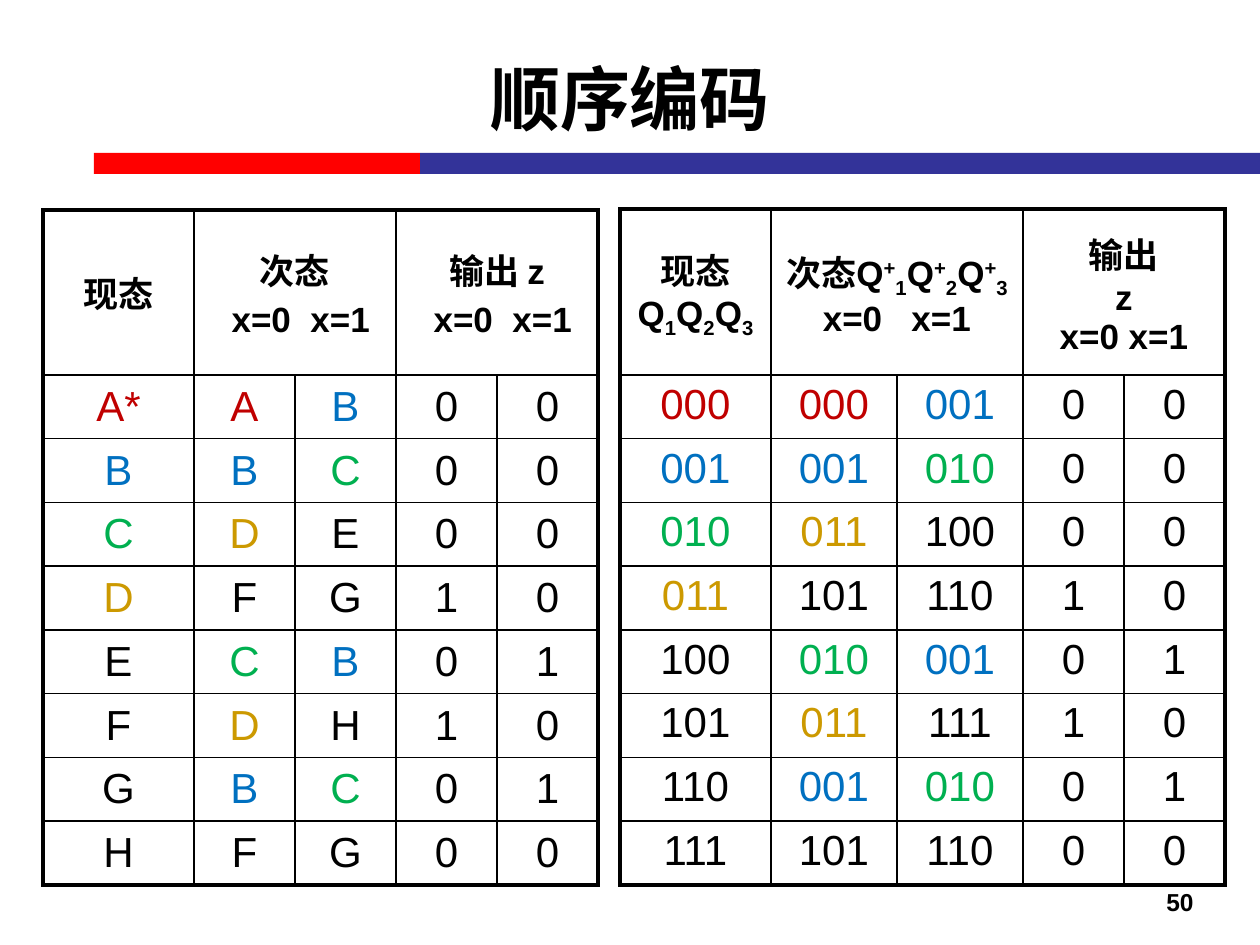
import pptx
import pptx.util
import pptx.dml.color
import pptx.enum.shapes
import pptx.enum.text
import lxml.etree

RGB = pptx.dml.color.RGBColor
BLACK = RGB(0x00, 0x00, 0x00)
RED = RGB(0xFF, 0x00, 0x00)
NAVY = RGB(0x33, 0x33, 0x99)
TINTS = {
    "A": RGB(0xC0, 0x00, 0x00),
    "B": RGB(0x00, 0x70, 0xC0),
    "C": RGB(0x00, 0xB0, 0x50),
    "D": RGB(0xCC, 0x99, 0x00),
}
ALIGN = pptx.enum.text.PP_ALIGN
ANCHOR = pptx.enum.text.MSO_ANCHOR
NS = "http://schemas.openxmlformats.org/drawingml/2006/main"
SCALE = 914400 / 126
SUB, SUP = -25, 30

STATES = "ABCDEFGH"
NEXT = ["AB", "BC", "DE", "FG", "CB", "DH", "BC", "FG"]
OUT = ["00", "00", "00", "10", "01", "10", "01", "00"]

HEAD_A = [
    [[("现态", 20, 0)]],
    [[("次态", 20, 0)], [(" ", 24, 0), ("x=0  x=1", 20, 0)]],
    [[("输出 z", 20, 0)], [(" ", 24, 0), ("x=0  x=1", 20, 0)]],
]
NOW = [part for n in "123" for part in (("Q", 20, 0), (n, 20, SUB))]
THEN = [part for n in "123"
        for part in (("Q", 20, 0), ("+", 20, SUP), (n, 20, SUB))]
HEAD_B = [
    [[("现态\n", 20, 0)] + NOW],
    [[("次态", 20, 0)] + THEN, [("x=0   x=1", 20, 0)]],
    [[("输出\nz\nx=0 x=1", 20, 0)]],
]


def px(n):
    """Turn px into EMU."""
    return round(n * SCALE)


def add_run(para, text, size, bold=True, tint=BLACK, base=0):
    """Add text to a paragraph, with a line break at each newline."""
    for i, line in enumerate(text.split("\n")):
        if i:
            para.add_line_break()
        if not line:
            continue
        run = para.add_run()
        run.text = line
        run.font.name = "Arial"
        run.font.size = pptx.util.Pt(size)
        run.font.bold = bold
        run.font.color.rgb = tint
        if base:
            run._r.get_or_add_rPr().set("baseline", str(base * 1000))


def add_label(slide, box, text, size, align, anchor):
    """Place one line of bold text in a box."""
    frame = slide.shapes.add_textbox(*map(px, box)).text_frame
    frame.word_wrap = True
    frame.vertical_anchor = anchor
    frame.paragraphs[0].alignment = align
    add_run(frame.paragraphs[0], text, size)


def add_bars(slide, box, split):
    """Draw the red and navy bar across a box, parted at split."""
    left, top, width, height = box
    parts = [(left, split, RED), (left + split, width - split, NAVY)]
    for x, wide, tint in parts:
        bar = slide.shapes.add_shape(
            pptx.enum.shapes.MSO_SHAPE.RECTANGLE,
            px(x), px(top), px(wide), px(height))
        bar.shadow.inherit = False
        bar.fill.solid()
        bar.fill.fore_color.rgb = tint
        bar.line.fill.background()


def set_edges(cell, thick):
    """Draw the four cell edges, heavy on the sides named in thick."""
    cell.fill.background()
    props = cell._tc.get_or_add_tcPr()
    for i, side in enumerate("LRTB"):
        line = lxml.etree.Element(f"{{{NS}}}ln{side}")
        line.set("w", str(pptx.util.Pt(2.25 if side in thick else 1)))
        fill = lxml.etree.SubElement(line, f"{{{NS}}}solidFill")
        lxml.etree.SubElement(fill, f"{{{NS}}}srgbClr").set("val", str(BLACK))
        props.insert(i, line)


def add_table(slide, box, cols, head, rows, flush):
    """Build a state table; flush drops the padding and centres the rows."""
    left, top, width, height = box
    deep = height - 510
    grid = slide.shapes.add_table(
        len(rows) + 1, len(cols), *map(px, box)).table
    grid.first_row = grid.horz_banding = False
    for col, wide in zip(grid.columns, cols):
        col.width = px(wide)
    for r, row in enumerate(grid.rows):
        row.height = px((height - deep) / len(rows)) if r else px(deep)
    for c in (1, 3):
        grid.cell(0, c).merge(grid.cell(0, c + 1))

    for r in range(len(rows) + 1):
        for c in range(len(cols)):
            cell = grid.cell(r, c)
            end = c + (cell.span_width if cell.is_merge_origin else 1)
            marks = {"L": c == 0, "R": end == len(cols),
                     "T": r == 0, "B": r == len(rows)}
            set_edges(cell, [side for side, on in marks.items() if on])
            if flush:
                cell.margin_top = cell.margin_bottom = 0
            middle = flush or r == 0
            cell.vertical_anchor = ANCHOR.MIDDLE if middle else ANCHOR.TOP
            if r:
                text, tint = rows[r - 1][c]
                para = cell.text_frame.paragraphs[0]
                para.alignment = ALIGN.CENTER
                add_run(para, text, 24, False, tint)

    for c, paras in zip((0, 1, 3), head):
        frame = grid.cell(0, c).text_frame
        for i, parts in enumerate(paras):
            para = frame.add_paragraph() if i else frame.paragraphs[0]
            para.alignment = ALIGN.CENTER
            for text, size, base in parts:
                add_run(para, text, size, base=base)


def make_rows(name):
    """List the rows of text and tint, with each state written by name."""
    rows = []
    for now, then, out in zip(STATES, NEXT, OUT):
        cells = [(name(s), TINTS.get(s, BLACK)) for s in now + then]
        rows.append(cells + [(bit, BLACK) for bit in out])
    return rows


def main():
    """Build the slide and save it."""
    deck = pptx.Presentation()
    deck.slide_width, deck.slide_height = px(1260), px(945)
    slide = deck.slides.add_slide(deck.slide_layouts[6])
    add_bars(slide, (94, 153, 1166, 21), 326)
    add_label(slide, (912, 881, 294, 65), "50", 14, ALIGN.RIGHT, ANCHOR.TOP)

    plain = make_rows(str)
    plain[0][0] = ("A*", TINTS["A"])
    add_table(slide, (43, 210, 555, 675), [151] + [101] * 4,
              HEAD_A, plain, True)
    coded = make_rows(lambda s: f"{STATES.index(s):03b}")
    add_table(slide, (620, 209, 605, 676), [151, 126, 126, 101, 101],
              HEAD_B, coded, False)
    add_label(slide, (63, 19, 1134, 157), "顺序编码", 40,
              ALIGN.CENTER, ANCHOR.MIDDLE)
    deck.save("out.pptx")


if __name__ == "__main__":
    main()
